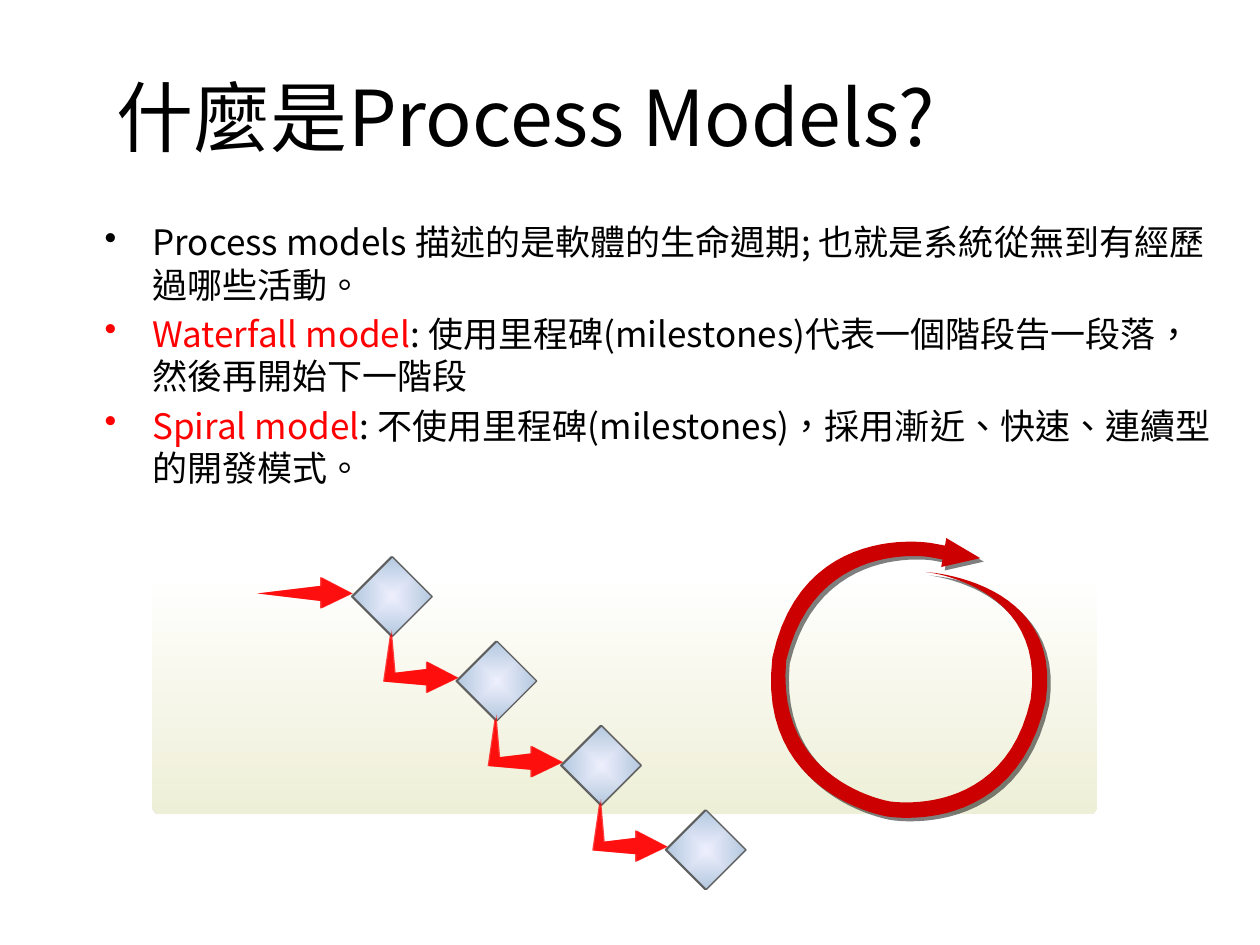
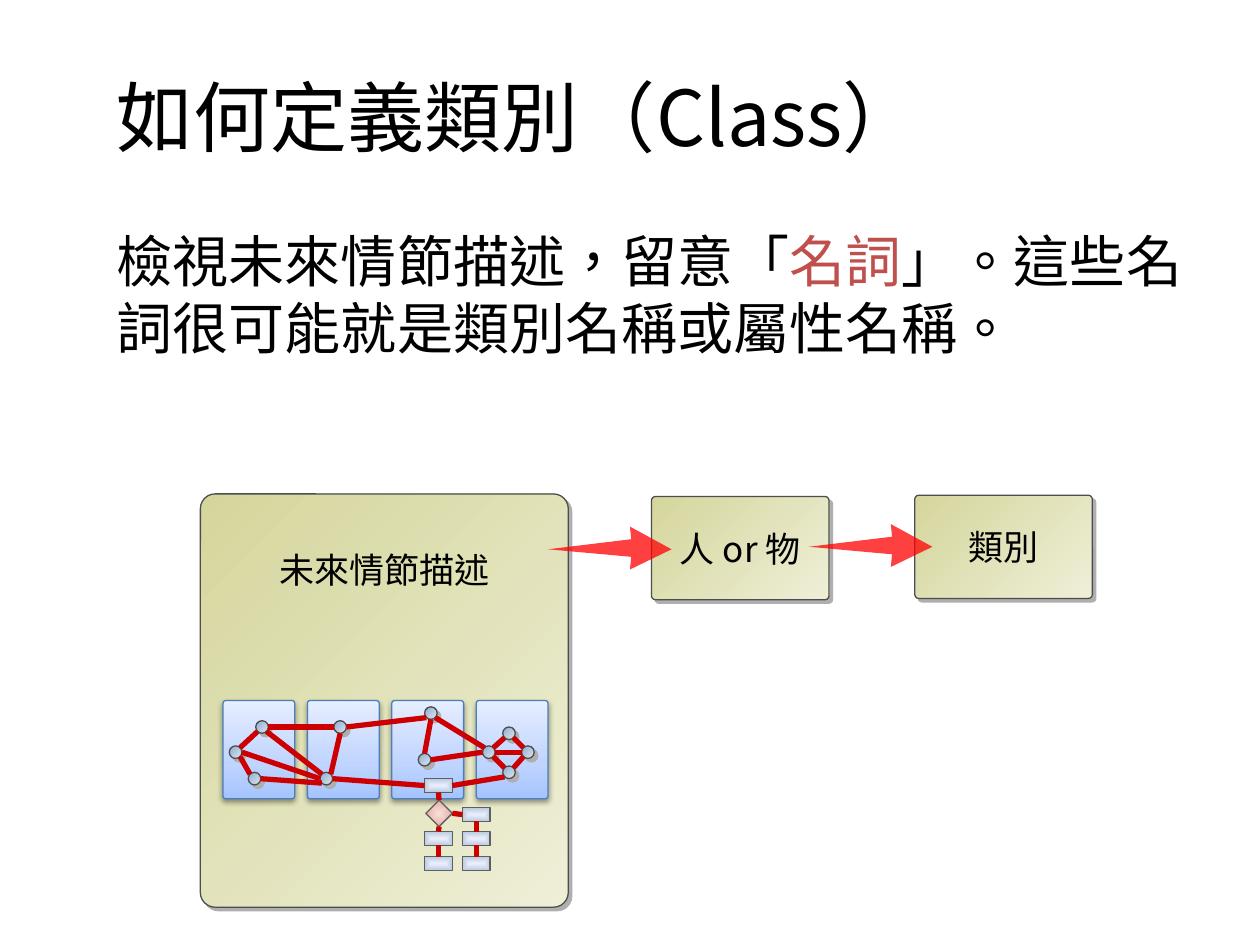
import math
from lxml import etree
from pptx import Presentation
from pptx.dml.color import RGBColor
from pptx.enum import shapes, text
from pptx.oxml import parse_xml
from pptx.oxml.ns import nsdecls, qn
from pptx.util import Inches, Pt

NOTO, LATIN = "Noto Sans CJK SC", "Calibri"
BLACK, RED, ROSE, WIRE = "000000", "FF0000", "C0504D", "CC0000"
KIND = shapes.MSO_SHAPE

# Fills: stops (position, colour, alpha), then angle; no angle means from the centre
PANEL = [(0, "FFFFFF", 100), (100, "EEEFD7", 100)], 90
OLIVE = [(0, "D5D69C", 100), (100, "EEEFD7", 100)], 45
SKY = [(0, "A4C4FF", 100), (35, "BFD4FF", 100), (100, "E6EEFF", 100)], 270
BALL = [(0, "8DACD0", 100), (100, "DEE7F1", 100)], 45
STEEL = [(0, "F0F1FF", 100), (100, "B3C8DF", 95)], None
PINK = [(0, "F8E2DE", 100), (100, "EAABA0", 95)], None

# Shadows: colour, alpha, blur, distance, angle
HARD = "AFAFAF", 100, 0, 2.8, 45
SOFT = "000000", 38, 3.1, 1.6, 90
DARK = "000000", 50, 0, 2.8, 45

# Slide 1
MODELS = [
    [("Process models 描述的是軟體的生命週期; 也就是系統從無到有經歷過哪些活動。", BLACK)],
    [("Waterfall model", RED),
     (": 使用里程碑(milestones)代表一個階段告一段落，然後再開始下一階段", BLACK)],
    [("Spiral model", RED),
     (": 不使用里程碑(milestones)，採用漸近、快速、連續型的開發模式。", BLACK)],
]
ENTRY = [(0, .13), (.5, .07), (.5, 0), (.75, .13), (.5, .25), (.5, .19)]
ELBOW = [(.06, 0), (0, .41), (.34, .44), (.34, .5), (.59, .38), (.34, .25),
         (.34, .31), (.09, .34)]
# Outline of the spiral: one point is a line, three points are a curve
SPIRAL = [
    [(7.39, 4.31)], [(7.5, 4.33)], [(7.51, 4.27)], [(7.78, 4.43)], [(7.47, 4.5)],
    [(7.48, 4.44)], [(7.37, 4.42)],
    [(7.37, 4.42), (6.47, 4.28), (6.24, 5.24)],
    [(6.15, 6.21), (7.06, 6.36), (7.06, 6.36)],
    [(7.06, 6.36), (7.97, 6.51), (8.18, 5.55)],
    [(8.31, 4.64), (7.35, 4.54), (7.35, 4.54)],
    [(7.35, 4.54), (8.44, 4.6), (8.3, 5.56)],
    [(8.06, 6.66), (7.04, 6.48), (7.04, 6.48)],
    [(7.04, 6.48), (6, 6.31), (6.13, 5.22)],
    [(6.36, 4.13), (7.39, 4.31), (7.39, 4.31)],
]

# Slide 2
NOUNS = [[("檢視未來情節描述，留意「", BLACK), ("名詞", ROSE),
          ("」。這些名詞很可能就是類別名稱或屬性名稱。", BLACK)]]
BOXES = [("人 or 物", 5.17, 3.94), ("類別", 7.26, 3.93)]
ARROW = [(0, .18), (.66, .1), (.65, 0), (.98, .18), (.65, .34), (.66, .24)]
STEPS = {"top": (3.37, 6.18), "yes": (3.37, 6.6), "end": (3.37, 6.8),
         "no": (3.67, 6.41), "fix": (3.67, 6.6), "out": (3.67, 6.8)}
FLOW = [("top", 2, "test", 0), ("test", 2, "yes", 0), ("yes", 2, "end", 0),
        ("test", 3, "no", 1), ("no", 2, "fix", 0), ("fix", 2, "out", 0)]
NODES = {"a": (2.08, 5.77), "b": (1.87, 5.97), "c": (2.02, 6.18), "d": (2.7, 5.77),
         "e": (2.59, 6.18), "f": (3.42, 5.66), "g": (3.37, 6.03), "h": (4.04, 5.82),
         "i": (4.19, 5.97), "j": (4.04, 6.13), "k": (3.88, 5.97)}
# Each end is a node and an eighth of a turn, clockwise from the right
EDGES = ("b7-a3 e5-a1 c5-b1 e4-b0 e3-c0 d4-a0 d2-e7 f3-d0 g6-f2 "
         "k5-f1 k4-g0 h3-k7 h1-i5 k1-j5 i3-j7 i4-k0").split()


def rgb(hue):
    return RGBColor.from_string(hue)


def tint(hue, alpha):
    return f'<a:srgbClr val="{hue}"><a:alpha val="{alpha * 1000}"/></a:srgbClr>'


def paint(shape, fill, line=None, shade=None):
    """Fill is a hex colour, a (colour, alpha) pair or a gradient."""
    shape.fill.solid()
    if isinstance(fill, str):
        shape.fill.fore_color.rgb = rgb(fill)
    else:
        first, last = fill
        if isinstance(first, str):
            xml = f'<a:solidFill {nsdecls("a")}>{tint(first, last)}</a:solidFill>'
        else:
            stops = "".join(f'<a:gs pos="{at * 1000}">{tint(hue, alpha)}</a:gs>'
                            for at, hue, alpha in first)
            flow = (f'<a:lin ang="{last * 60000}" scaled="0"/>' if last is not None else
                    '<a:path path="shape"><a:fillToRect l="50000" t="50000" '
                    'r="50000" b="50000"/></a:path>')
            xml = (f'<a:gradFill {nsdecls("a")} rotWithShape="1">'
                   f'<a:gsLst>{stops}</a:gsLst>{flow}</a:gradFill>')
        props = shape._element.spPr
        props.replace(props.find(qn("a:solidFill")), parse_xml(xml))
    if line:
        shape.line.color.rgb = rgb(line)
        shape.line.width = Pt(.75)
    else:
        shape.line.fill.background()
    shape.shadow.inherit = False
    if shade:
        hue, alpha, blur, dist, turn = shade
        shape._element.spPr.find(qn("a:effectLst")).append(parse_xml(
            f'<a:outerShdw {nsdecls("a")} blurRad="{Pt(blur)}" dist="{Pt(dist)}" '
            f'dir="{turn * 60000}" algn="ctr" rotWithShape="0">'
            f'{tint(hue, alpha)}</a:outerShdw>'))


def add(slide, kind, x, y, w, h, fill, line=None, shade=None, bend=.04):
    shape = slide.shapes.add_shape(kind, *map(Inches, (x, y, w, h)))
    if kind == KIND.ROUNDED_RECTANGLE:
        shape.adjustments[0] = bend
    paint(shape, fill, line, shade)
    return shape


def trace(slide, points, fill, x=0, y=0, shade=None):
    """Closed outline through points, moved by x and y."""
    spots = [(Inches(x + px), Inches(y + py)) for px, py in points]
    pen = slide.shapes.build_freeform(*spots[0])
    pen.add_line_segments(spots[1:], close=True)
    paint(pen.convert_to_shape(), fill, shade=shade)


def bend(parts, count=24):
    """Turn lines and cubic curves into a list of points."""
    points = list(parts[0])
    for part in parts[1:]:
        if len(part) == 1:
            points += part
            continue
        ctrl = [points[-1], *part]
        for step in range(1, count + 1):
            t = step / count
            mix = [math.comb(3, n) * t ** n * (1 - t) ** (3 - n) for n in range(4)]
            points.append(tuple(sum(m * p[axis] for m, p in zip(mix, ctrl))
                                for axis in (0, 1)))
    return points


def wire(slide, start=(0, 0), end=(0, 0), head=None, tail=None):
    """Red line; head and tail are (shape, side) joints."""
    line = slide.shapes.add_connector(shapes.MSO_CONNECTOR.STRAIGHT,
                                      *map(Inches, (*start, *end)))
    if head:
        line.begin_connect(*head)
    if tail:
        line.end_connect(*tail)
    line.line.color.rgb = rgb(WIRE)
    line.line.width = Pt(3)
    etree.SubElement(line._element.spPr, qn("a:effectLst"))


def write(frame, paras, size, font=NOTO, bullet=False, pitch=None):
    frame.word_wrap = True
    for n, runs in enumerate(paras):
        para = frame.add_paragraph() if n else frame.paragraphs[0]
        if bullet:
            props = para._p.get_or_add_pPr()
            props.set("marL", str(Inches(.38)))
            props.set("indent", str(-Inches(.38)))
            etree.SubElement(props, qn("a:buChar")).set("char", "•")
        if pitch:
            para.line_spacing = Pt(pitch)
        if n:
            para.space_before = Pt(size * .2)
        for words, hue in runs:
            run = para.add_run()
            run.text = words
            run.font.size = Pt(size)
            run.font.name = font
            run.font.color.rgb = rgb(hue)
            run._r.get_or_add_rPr().set("lang", "zh-TW")


def label(shape, words, top=None):
    """Centred caption; top pins it that far below the upper edge."""
    frame = shape.text_frame
    frame.vertical_anchor = text.MSO_ANCHOR.MIDDLE
    if top:
        frame.vertical_anchor = text.MSO_ANCHOR.TOP
        frame.margin_top = Inches(top)
    write(frame, [[(words, BLACK)]], 20)
    frame.paragraphs[0].alignment = text.PP_ALIGN.CENTER


def area(slide, y, h):
    return slide.shapes.add_textbox(*map(Inches, (.83, y, 8.83, h))).text_frame


def start(deck, title):
    slide = deck.slides.add_slide(deck.slide_layouts[6])
    frame = area(slide, .29, 1.25)
    frame.vertical_anchor = text.MSO_ANCHOR.MIDDLE
    write(frame, [[(title, BLACK)]], 44)
    return slide


def models(deck):
    slide = start(deck, "什麼是Process Models?")
    add(slide, KIND.ROUNDED_RECTANGLE, 1.21, 4.54, 7.5, 1.92, PANEL, bend=.03)
    frame = area(slide, 1.75, 4.7)
    frame.margin_left = frame.margin_right = frame.margin_top = frame.margin_bottom = 0
    write(frame, MODELS, 20, bullet=True, pitch=24.2)
    trace(slide, bend(SPIRAL), WIRE, shade=DARK)
    glow = RED, 75
    for shift in (0, .01):
        for n in range(4):
            add(slide, KIND.DIAMOND, 2.79 + shift + n * .83, 4.42 + n * .67,
                .63, .63, STEEL, "5F5F5F")
        trace(slide, ENTRY, glow, 2.04 + shift, 4.58)
        for n in range(3):
            trace(slide, ELBOW, glow, 3.04 + shift + n * .83, 5 + n * .67)


def classes(deck):
    slide = start(deck, "如何定義類別（Class）")
    write(area(slide, 1.75, 4.7), NOUNS, 32, LATIN)
    card = KIND.ROUNDED_RECTANGLE
    story = add(slide, card, 1.59, 3.92, 2.92, 3.28, OLIVE, "4D4D4D", HARD)
    label(story, "未來情節描述", .4)
    for words, x, y in BOXES:
        label(add(slide, card, x, y, 1.41, .82, OLIVE, "4D4D4D", HARD), words)
    for x, y in [(6.42, 4.16), (4.35, 4.18)]:
        trace(slide, ARROW, (RED, 75), x, y)
    for n in range(4):
        add(slide, card, 1.77 + n * .67, 5.56, .57, .78, SKY, "4B7EBC", SOFT)

    steps = {name: add(slide, KIND.RECTANGLE, x, y, .22, .11, STEEL, "5F5F5F")
             for name, (x, y) in STEPS.items()}
    steps["test"] = add(slide, KIND.DIAMOND, 3.38, 6.35, .21, .21, PINK, "5F5F5F")
    for one, out, two, into in FLOW:
        wire(slide, head=(steps[one], out), tail=(steps[two], into))

    for x, y in NODES.values():
        add(slide, KIND.OVAL, x - .05, y - .05, .1, .1, BALL, "4D4D4D", HARD)

    def rim(end):
        x, y = NODES[end[0]]
        turn = int(end[1]) * math.pi / 4
        return x + .05 * math.cos(turn), y + .05 * math.sin(turn)

    for edge in EDGES:
        wire(slide, *map(rim, edge.split("-")))
    for end, side in [("e0", 1), ("j3", 3)]:
        wire(slide, rim(end), tail=(steps["top"], side))


def main():
    deck = Presentation()
    deck.slide_width, deck.slide_height = Inches(10), Inches(7.5)
    models(deck)
    classes(deck)
    deck.save("out.pptx")


if __name__ == "__main__":
    main()
